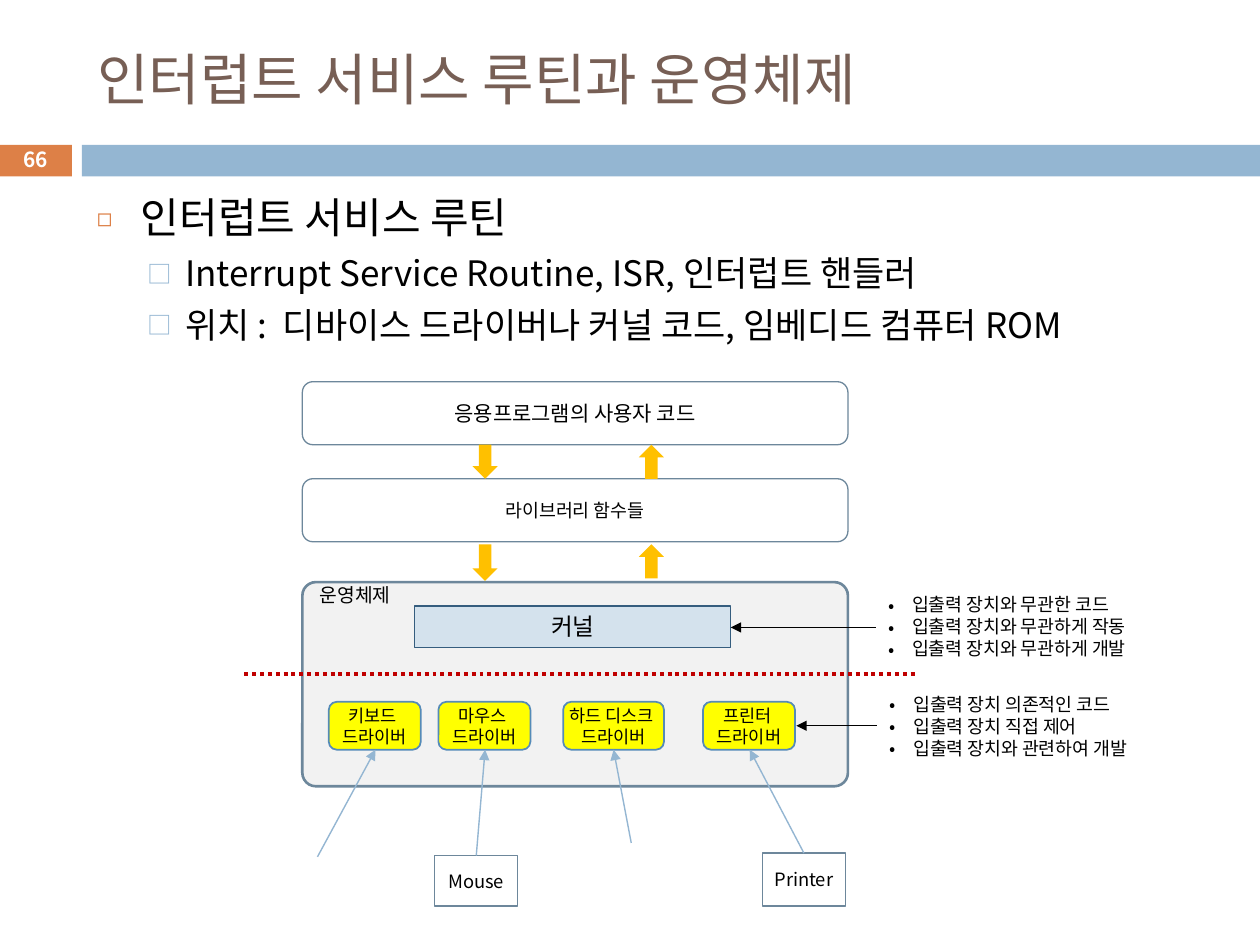
import pptx
import pptx.util
import pptx.dml.color
import pptx.enum.dml
import pptx.enum.shapes
import pptx.enum.text
import pptx.oxml
import pptx.oxml.ns
from lxml import etree

Inches = pptx.util.Inches
Pt = pptx.util.Pt
RGB = pptx.dml.color.RGBColor.from_string
qn = pptx.oxml.ns.qn
SHAPE = pptx.enum.shapes.MSO_SHAPE
ALIGN = pptx.enum.text.PP_ALIGN
ANCHOR = pptx.enum.text.MSO_ANCHOR

FONT = "Noto Sans CJK KR"
COLORS = {
    "title": "775F55", "text": "000000", "white": "FFFFFF",
    "orange": "DD8047", "blue": "94B6D2", "outline": "6D879B",
    "system": "F2F2F2", "kernel": "D4E2ED", "kernel_line": "355D7E",
    "driver": "FFFF00", "driver_line": "558BB8",
    "flow": "FFC000", "boundary": "C00000",
}

presentation = pptx.Presentation()
presentation.slide_width = Inches(10)
presentation.slide_height = Inches(7.5)
slide = presentation.slides.add_slide(presentation.slide_layouts[5])


def write_text(shape, lines, size, color="text", align=ALIGN.CENTER,
               anchor=ANCHOR.MIDDLE, inset=None, wrap=True, bold=False):
    """Fill a shape with paragraphs that share one format."""
    frame = shape.text_frame
    frame.text = "\n".join(lines)
    frame.word_wrap = wrap
    frame.vertical_anchor = anchor
    frame.auto_size = pptx.enum.text.MSO_AUTO_SIZE.NONE
    if inset is not None:
        frame.margin_left = frame.margin_right = Inches(inset)
        frame.margin_top = frame.margin_bottom = Inches(inset)
    for paragraph in frame.paragraphs:
        paragraph.alignment = align
        paragraph.font.size = Pt(size)
        paragraph.font.bold = bold
        paragraph.font.color.rgb = RGB(COLORS[color])
        paragraph.font.name = FONT
        properties = paragraph._p.pPr.find(qn("a:defRPr"))
        etree.SubElement(properties, qn("a:ea")).set("typeface", FONT)
    return frame.paragraphs


def add_shape(kind, box, fill=None, line=None, width=0.75):
    """Add a preset shape with plain fill and outline."""
    shape = slide.shapes.add_shape(kind, *map(Inches, box))
    shape.shadow.inherit = False
    if fill:
        shape.fill.solid()
        shape.fill.fore_color.rgb = RGB(COLORS[fill])
    else:
        shape.fill.background()
    if line:
        shape.line.color.rgb = RGB(COLORS[line])
        shape.line.width = Pt(width)
    else:
        shape.line.fill.background()
    return shape


# Title, header band and page number
add_shape(SHAPE.RECTANGLE, (-0.01, 1.15, 0.58, 0.25), "orange")
add_shape(SHAPE.RECTANGLE, (0.65, 1.15, 9.35, 0.25), "blue")
title = slide.shapes.title
title.left, title.top, title.width, title.height = map(Inches, (0.67, 0.25, 8.92, 0.74))
write_text(title, ["인터럽트 서비스 루틴과 운영체제"], 32, "title", ALIGN.LEFT)
page_number = slide.shapes.add_textbox(*map(Inches, (-0.01, 1.13, 0.58, 0.27)))
write_text(page_number, ["66"], 11.9, "white", bold=True)

# Layers of the system
system = add_shape(SHAPE.ROUNDED_RECTANGLE, (2.4, 4.62, 4.33, 1.62), "system", "outline", 1.5)
system.adjustments[0] = 0.066
for top, label, size in ((3.03, "응용프로그램의 사용자 코드", 12), (3.8, "라이브러리 함수들", 10.5)):
    layer = add_shape(SHAPE.ROUNDED_RECTANGLE, (2.4, top, 4.33, 0.5), line="outline")
    write_text(layer, [label], size)
for top, down_height in ((3.53, 0.27), (4.32, 0.29)):
    add_shape(SHAPE.UP_ARROW, (5.07, top, 0.2, 0.27), "flow")
    add_shape(SHAPE.DOWN_ARROW, (3.75, top, 0.2, down_height), "flow")

# Drivers, devices and kernel
for left, width, device in ((2.61, 0.73, "키보드 "), (3.48, 0.73, "마우스 "),
                            (4.47, 0.8, "하드 디스크 "), (5.58, 0.73, "프린터 ")):
    driver = add_shape(SHAPE.ROUNDED_RECTANGLE, (left, 5.57, width, 0.38),
                       "driver", "driver_line", 1)
    write_text(driver, [device, "드라이버"], 10, inset=0)
for box, label in (((3.45, 6.79, 0.66, 0.4), "Mouse"), ((6.05, 6.77, 0.66, 0.42), "Printer")):
    device = add_shape(SHAPE.FLOWCHART_PROCESS, box, line="outline")
    write_text(device, [label], 10.5, inset=0.05)
system_label = slide.shapes.add_textbox(*map(Inches, (2.41, 4.58, 0.82, 0.29)))
write_text(system_label, ["운영체제"], 11, anchor=ANCHOR.TOP, wrap=False)
kernel = add_shape(SHAPE.RECTANGLE, (3.29, 4.81, 2.51, 0.33), "kernel", "kernel_line")
write_text(kernel, ["커널"], 13.5, anchor=ANCHOR.TOP)

# Arrows and the dotted boundary
for start_x, start_y, end_x, end_y, color in (
        (2.52, 6.8, 2.98, 5.95, "blue"), (3.78, 6.79, 3.85, 5.95, "blue"),
        (5.01, 6.69, 4.87, 5.95, "blue"), (6.38, 6.77, 5.95, 5.95, "blue"),
        (6.95, 4.98, 5.8, 4.98, "text"), (6.96, 5.76, 6.32, 5.76, "text"),
        (1.94, 5.35, 7.26, 5.35, "boundary")):
    connector = slide.shapes.add_connector(
        pptx.enum.shapes.MSO_CONNECTOR.STRAIGHT,
        *map(Inches, (start_x, start_y, end_x, end_y)))
    connector.line.color.rgb = RGB(COLORS[color])
    properties = connector._element.spPr
    if color == "boundary":
        connector.line.width = Pt(2.25)
        connector.line.dash_style = pptx.enum.dml.MSO_LINE.ROUND_DOT
    else:
        connector.line.width = Pt(0.79)
        outline = properties.find(qn("a:ln"))
        etree.SubElement(outline, qn("a:tailEnd")).set("type", "triangle")
    etree.SubElement(properties, qn("a:effectLst"))

# Bulleted texts: level style is size, margin, indent, space before, bullet, colour, percent
MAIN = (24, 0.35, -0.35, 7, "◻", "orange", 60)
SUB = (20, 0.7, -0.3, 5.5, "□", "blue", 70)
NOTE = (10.5, 0.19, -0.19, 0, "•", "text", 100)
bulleted_texts = (
    ((0.67, 1.47, 8.92, 1.57), True, (MAIN, SUB, SUB),
     ["인터럽트 서비스 루틴",
      "Interrupt Service Routine, ISR, 인터럽트 핸들러",
      "위치 :  디바이스 드라이버나 커널 코드, 임베디드 컴퓨터 ROM"]),
    ((6.95, 4.66, 2.32, 0.63), False, (NOTE,) * 3,
     ["입출력 장치와 무관한 코드", "입출력 장치와 무관하게 작동", "입출력 장치와 무관하게 개발"]),
    ((6.96, 5.45, 2.32, 0.63), False, (NOTE,) * 3,
     ["입출력 장치 의존적인 코드", "입출력 장치 직접 제어", "입출력 장치와 관련하여 개발"]),
)
for box, wrap, styles, lines in bulleted_texts:
    text_box = slide.shapes.add_textbox(*map(Inches, box))
    paragraphs = write_text(text_box, lines, 10.5, align=ALIGN.LEFT,
                            anchor=ANCHOR.TOP, wrap=wrap)
    for paragraph, style in zip(paragraphs, styles):
        size, margin, indent, space, bullet, color, percent = style
        paragraph.font.size = Pt(size)
        paragraph.space_before = Pt(space)
        paragraph.level = 1 if style is SUB else 0
        properties = paragraph._p.pPr
        properties.set("marL", str(Inches(margin)))
        properties.set("indent", str(Inches(indent)))
        run_defaults = properties.find(qn("a:defRPr"))
        bullet_color = etree.Element(qn("a:buClr"))
        etree.SubElement(bullet_color, qn("a:srgbClr")).set("val", COLORS[color])
        run_defaults.addprevious(bullet_color)
        for tag, name, value in (("a:buSzPct", "val", str(percent * 1000)),
                                 ("a:buFont", "typeface", FONT),
                                 ("a:buChar", "char", bullet)):
            element = etree.Element(qn(tag))
            element.set(name, value)
            run_defaults.addprevious(element)

presentation.save("out.pptx")
